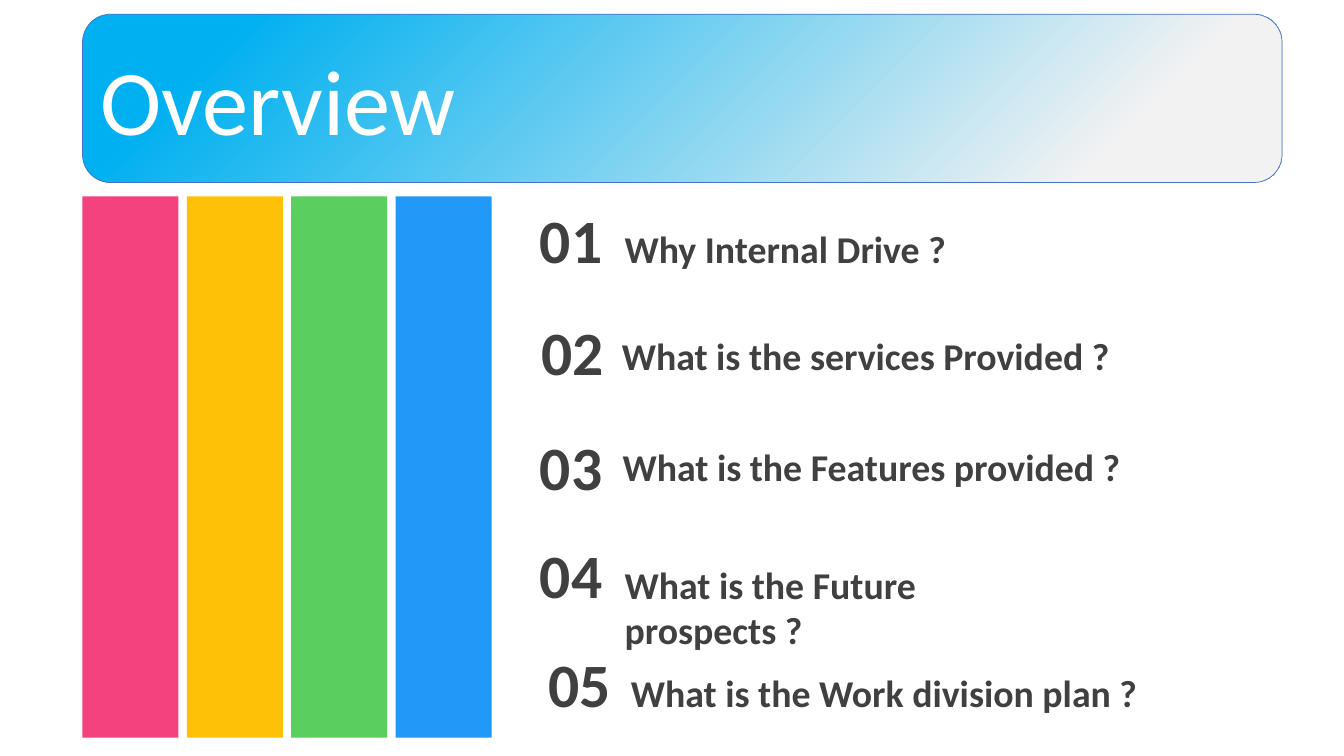
import pptx
import pptx.util
import pptx.dml.color
import pptx.enum.shapes
import pptx.enum.text
from dataclasses import dataclass
from lxml import etree
from pptx.util import Cm


@dataclass(frozen=True)
class Theme:
    font: str = "Calibri"
    title_size: int = 66
    number_size: int = 44
    question_size: int = 27
    ink: str = "404040"
    white: str = "FFFFFF"
    banner_line: str = "4472C4"
    banner_stops: tuple = ((0.15, "F2F2F2"), (0.88, "00B0F0"))
    stripes: tuple = ("F4427E", "FFC107", "5ACF5F", "2299F8")


theme = Theme()
rgb = pptx.dml.color.RGBColor.from_string
shape_kind = pptx.enum.shapes.MSO_SHAPE
align = pptx.enum.text.PP_ALIGN

deck = pptx.Presentation()
deck.slide_width, deck.slide_height = Cm(33.87), Cm(19.05)
slide = deck.slides.add_slide(deck.slide_layouts[5])


def set_text(box, words, size, color, alignment, bold):
    frame = box.text_frame
    frame.text = words
    frame.word_wrap = True
    frame.auto_size = pptx.enum.text.MSO_AUTO_SIZE.NONE
    paragraph = frame.paragraphs[0]
    paragraph.alignment = alignment
    paragraph.font.name = theme.font
    paragraph.font.size = pptx.util.Pt(size)
    paragraph.font.bold = bold
    paragraph.font.color.rgb = rgb(color)


def add_label(left, top, width, height, words, size, alignment):
    label = slide.shapes.add_textbox(Cm(left), Cm(top), Cm(width), Cm(height))
    set_text(label, words, size, theme.ink, alignment, True)
    frame = label.text_frame
    frame.margin_left = frame.margin_right = Cm(0.3)
    frame.margin_top = frame.margin_bottom = Cm(0.13)


# Coloured stripes
for index, color in enumerate(theme.stripes):
    stripe = slide.shapes.add_shape(
        shape_kind.RECTANGLE, Cm(2.08 + 2.63 * index), Cm(4.95), Cm(2.42), Cm(13.64))
    stripe.shadow.inherit = False
    stripe.fill.solid()
    stripe.fill.fore_color.rgb = rgb(color)
    stripe.line.fill.background()

# Agenda: number (left, top, width), question (left, top, width), wording
agenda = [
    ((13.06, 4.95, 2.67), (15.44, 5.56, 12.4), "Why Internal Drive ?"),
    ((12.6, 7.77, 3.66), (15.37, 8.26, 17.22), "What is the services Provided ?"),
    ((13.06, 10.69, 2.67), (15.39, 11.05, 14.99), "What is the Features provided ?"),
    ((13.06, 13.41, 2.67), (15.44, 14.02, 12.4), "What is the Future prospects ?"),
    ((13.06, 16.15, 3.1), (15.6, 16.74, 14.6), "What is the Work division plan ?"),
]
for order, (number_at, question_at, question) in enumerate(agenda, start=1):
    add_label(*question_at, 1.42, question, theme.question_size, align.LEFT)
    add_label(*number_at, 2.13, f"{order:02d}", theme.number_size, align.CENTER)

# Banner with a gradient spreading from its lower right corner
banner = slide.shapes.add_shape(
    shape_kind.ROUNDED_RECTANGLE, Cm(2.08), Cm(0.36), Cm(30.23), Cm(4.24))
banner.shadow.inherit = False
banner.line.color.rgb = rgb(theme.banner_line)
banner.line.width = pptx.util.Pt(0.5)
banner.fill.gradient()
for stop, (position, color) in zip(banner.fill.gradient_stops, theme.banner_stops):
    stop.position = position
    stop.color.rgb = rgb(color)
linear = banner.element.spPr.find(".//" + pptx.oxml.ns.qn("a:lin"))
radial = etree.Element(pptx.oxml.ns.qn("a:path"), {"path": "circle"})
etree.SubElement(radial, pptx.oxml.ns.qn("a:fillToRect"), {"l": "100000", "t": "100000"})
linear.getparent().replace(linear, radial)

# Title, raised above the banner
title = slide.shapes.title
title.left, title.top, title.width, title.height = Cm(2.28), Cm(0.36), Cm(29.83), Cm(4.24)
set_text(title, "Overview", theme.title_size, theme.white, align.LEFT, False)
title.text_frame.vertical_anchor = pptx.enum.text.MSO_ANCHOR.MIDDLE
banner.element.addnext(title.element)

deck.save("out.pptx")
